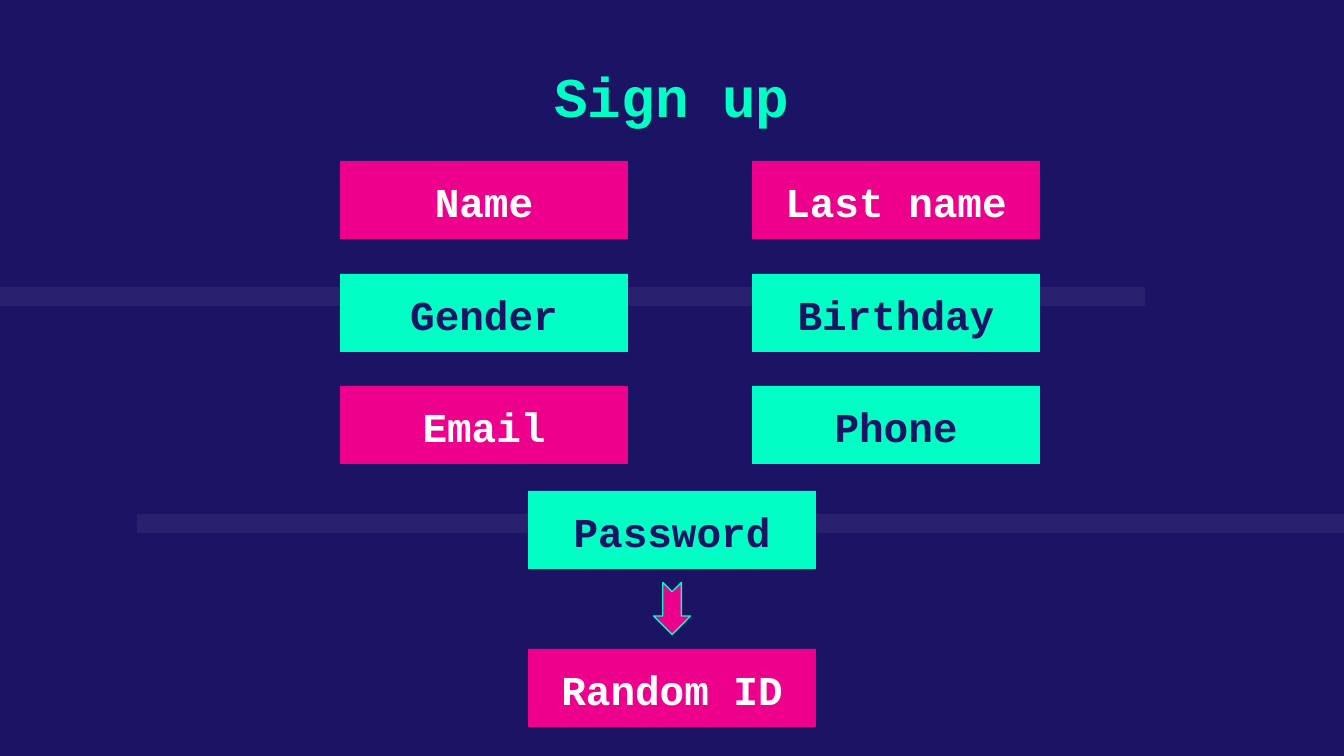
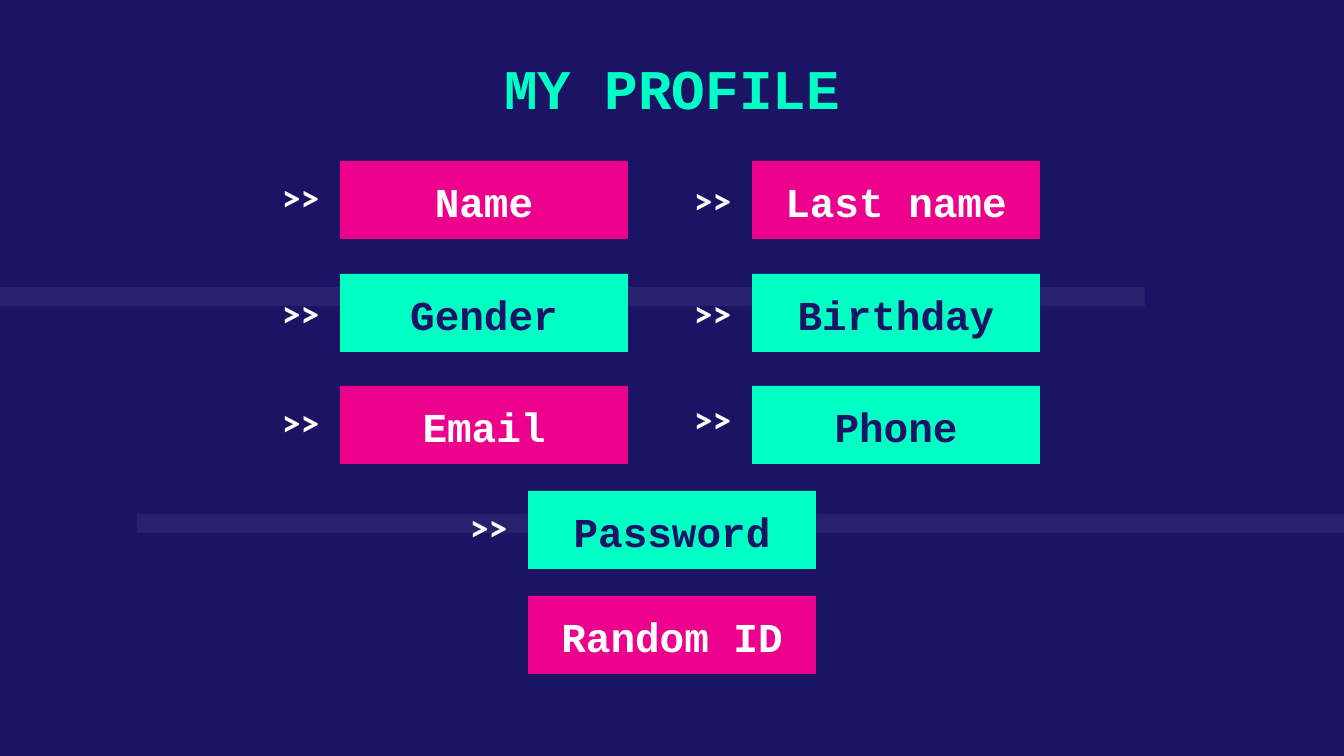
"""Builds the sign-up and profile slides of an app mock-up."""
from lxml import etree
from pptx import Presentation
from pptx.dml.color import RGBColor
from pptx.enum.shapes import MSO_SHAPE
from pptx.enum.text import MSO_ANCHOR, PP_ALIGN
from pptx.oxml.ns import qn
from pptx.util import Emu, Pt

RECT, ARROW = MSO_SHAPE.RECTANGLE, MSO_SHAPE.NOTCHED_RIGHT_ARROW
TOP, BOTTOM = MSO_ANCHOR.TOP, MSO_ANCHOR.BOTTOM
LEFT, CENTER = PP_ALIGN.LEFT, PP_ALIGN.CENTER
NAVY = RGBColor(0x1B, 0x14, 0x64)
MINT = RGBColor(0x00, 0xFF, 0xC5)
PINK = RGBColor(0xEC, 0x00, 0x8C)
WHITE = RGBColor(0xFF, 0xFF, 0xFF)
HEAD_FONT, BODY_FONT = "Courier New", "Calibri"
SCALE = 914400 / 134.4
BOX_W, BOX_H = 288, 78
COL_1, COL_2, MIDDLE = 340, 752, 528
ROW_1, ROW_2, ROW_3, ROW_4 = 161, 274, 386, 491
PROMPT_W, PROMPT_H, INSET = 71, 73, 13


def px(*values):
    return [Emu(round(v * SCALE)) for v in values]


def write(sp, text, size, color, font=HEAD_FONT, align=CENTER, anchor=BOTTOM):
    tf = sp.text_frame
    tf.word_wrap = True
    tf.vertical_anchor = anchor
    tf.margin_left, tf.margin_top, tf.margin_right, tf.margin_bottom = px(*[INSET] * 4)
    p = tf.paragraphs[0]
    p.text = text
    p.alignment = align
    p.font.name, p.font.size, p.font.bold = font, Pt(size), True
    p.font.color.rgb = color


bands = [(0, 287, 1145, 19), (137, 514, 1207, 19)]
fields = [
    ("Name", COL_1, ROW_1, PINK, 0),
    ("Last name", COL_2, ROW_1, PINK, 3),
    ("Gender", COL_1, ROW_2, MINT, 3),
    ("Birthday", COL_2, ROW_2, MINT, 3),
    ("Email", COL_1, ROW_3, PINK, 0),
    ("Phone", COL_2, ROW_3, MINT, -3),
    ("Password", MIDDLE, ROW_4, MINT, 0),
]
pages = [
    ("Sign up", (528, 44, 288, 98), 649, False),
    ("MY PROFILE", (399, 36, 546, 98), 596, True),
]

prs = Presentation()
prs.slide_width, prs.slide_height = px(1344, 756)
fill = prs.slide_master.background.fill
fill.solid()
fill.fore_color.rgb = NAVY

for title, title_box, id_top, has_prompts in pages:
    s = prs.slides.add_slide(prs.slide_layouts[5])

    for band in bands:
        sp = s.shapes.add_shape(RECT, *px(*band))
        sp.shadow.inherit = False
        sp.line.fill.background()
        sp.fill.solid()
        sp.fill.fore_color.rgb = WHITE
        color = sp.fill._xPr.find(qn("a:solidFill"))[0]
        etree.SubElement(color, qn("a:alpha")).set("val", "6000")

    sp = s.shapes.title
    sp.left, sp.top, sp.width, sp.height = px(*title_box)
    write(sp, title, 30, MINT)

    for text, x, y, color, _ in fields + [("Random ID", MIDDLE, id_top, PINK, 0)]:
        sp = s.shapes.add_shape(RECT, *px(x, y, BOX_W, BOX_H))
        sp.shadow.inherit = False
        sp.line.fill.background()
        sp.fill.solid()
        sp.fill.fore_color.rgb = color
        write(sp, text, 22, WHITE if color == PINK else NAVY)

    if has_prompts:
        for _, x, y, _, shift in fields:
            sp = s.shapes.add_textbox(*px(x - PROMPT_W, y + shift, PROMPT_W, PROMPT_H))
            write(sp, ">>", 20, WHITE, BODY_FONT, LEFT, TOP)
    else:
        sp = s.shapes.add_shape(ARROW, *px(646, 590, 52, 37))
        sp.shadow.inherit = False
        sp.rotation = 90
        sp.fill.solid()
        sp.fill.fore_color.rgb = PINK
        sp.line.color.rgb = MINT
        sp.line.width = Pt(0.75)

prs.save("out.pptx")
